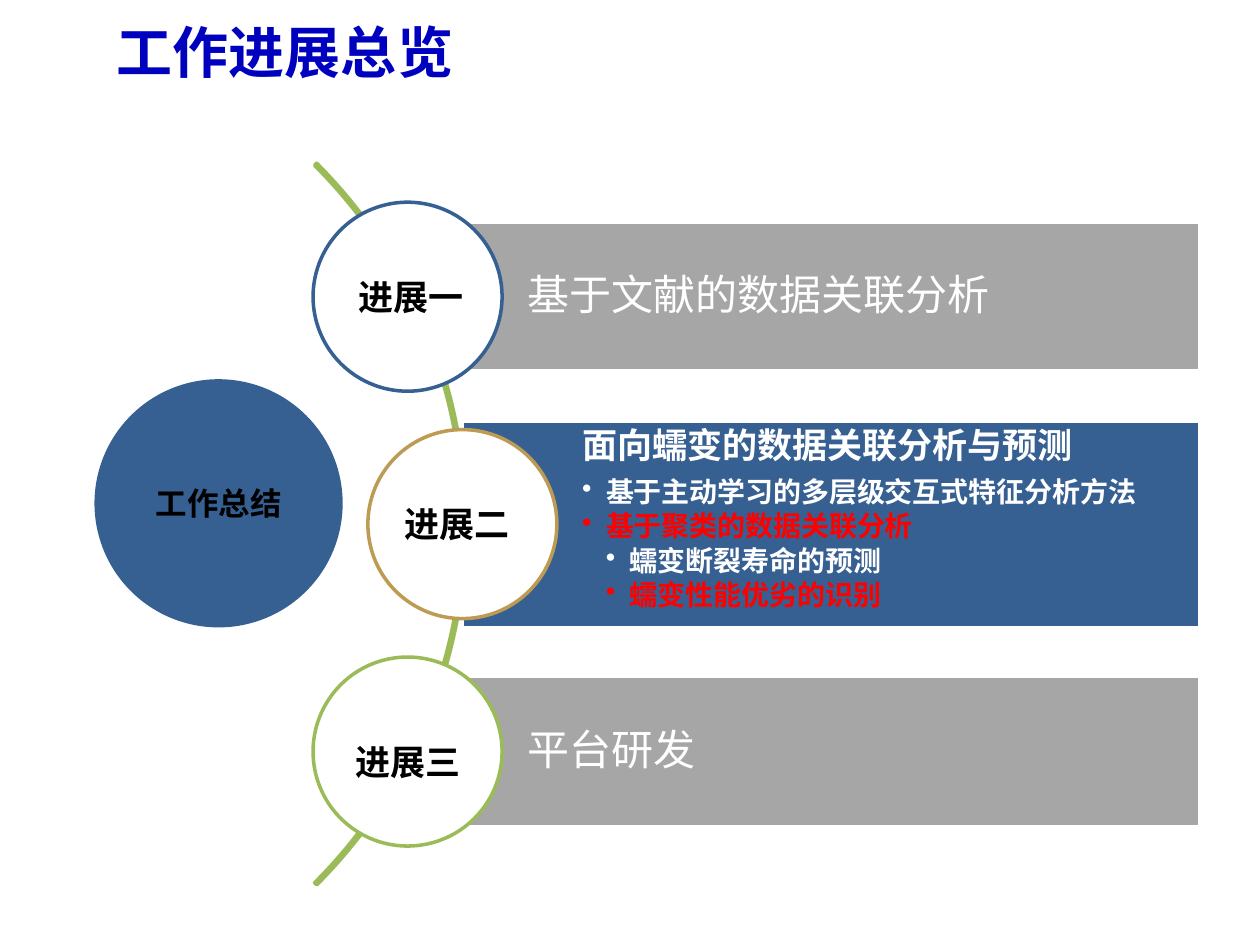
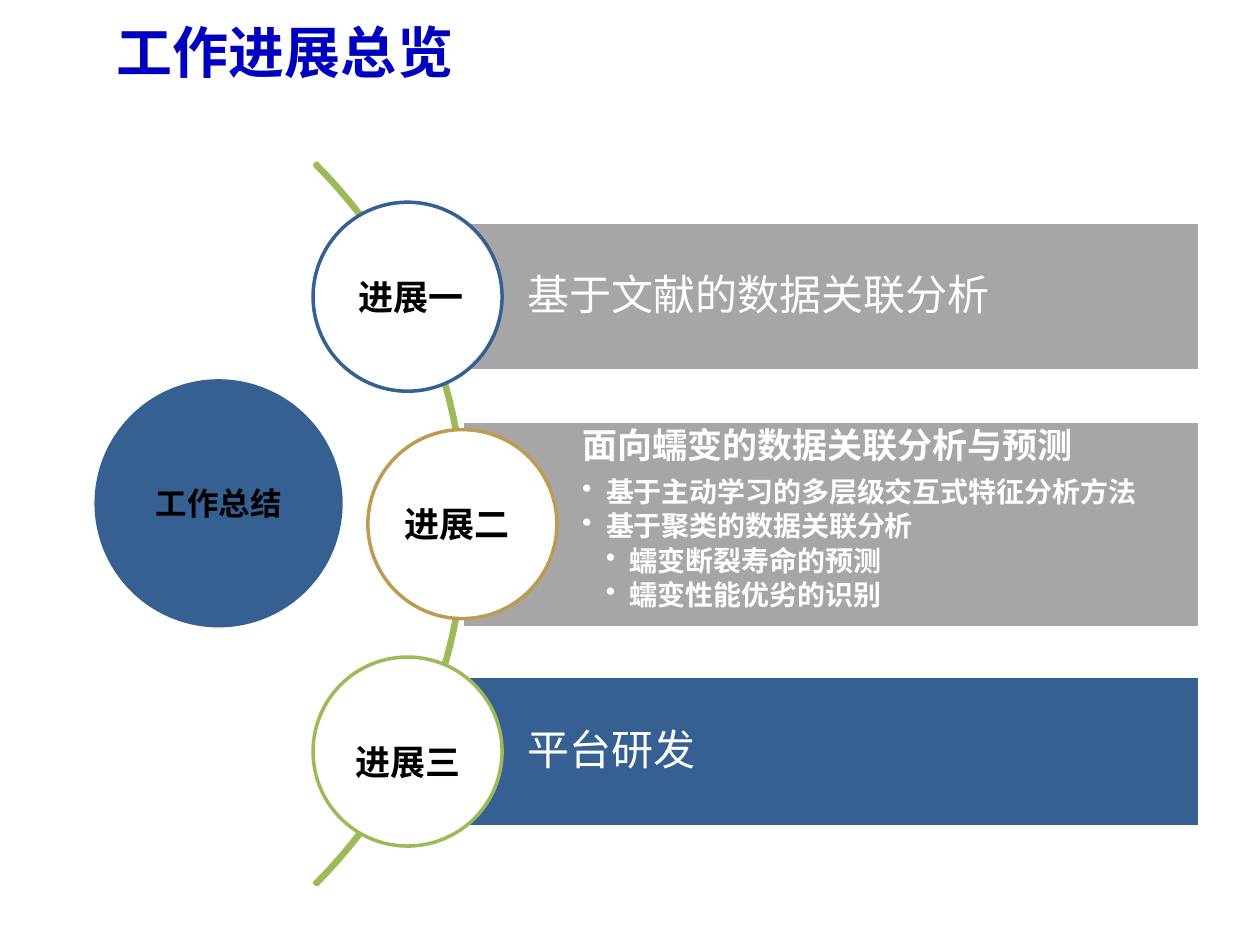
from dataclasses import dataclass
from typing import Optional

from lxml import etree
from pptx import Presentation
from pptx import util as u
from pptx.dml.color import RGBColor
from pptx.enum import shapes, text
from pptx.oxml.ns import qn

COLS, ROWS = 100, 75
CELL = u.Inches(0.1)

NAVY = RGBColor(0x00, 0x00, 0xBF)
BLUE = RGBColor(0x37, 0x60, 0x92)
GRAY = RGBColor(0xA6, 0xA6, 0xA6)
GREEN = RGBColor(0x9B, 0xBB, 0x59)
GOLD = RGBColor(0xBD, 0x9B, 0x53)
RED = RGBColor(0xFF, 0x00, 0x00)
WHITE = RGBColor(0xFF, 0xFF, 0xFF)
BLACK = RGBColor(0x00, 0x00, 0x00)

BODY = "Calibri"
HEAD = "Noto Sans CJK SC"
SHAPE = shapes.MSO_SHAPE
MID = text.MSO_ANCHOR.MIDDLE
TOP = text.MSO_ANCHOR.TOP

AXIS = 41.6
PITCH = 18.05
DISC = 15
HUB = 19.7
ARC = 81
EDGE = 95.25
INDENT = 1.9


@dataclass
class Line:
    words: str
    size: float
    bold: bool = False
    level: int = 0
    after: int = 35


@dataclass
class Step:
    label: str
    left: float
    top: float
    width: float
    center: float
    height: float
    ring: RGBColor
    lines: list[Line]
    anchor: text.MSO_ANCHOR = MID
    pad: float = 0.7


STEPS = [
    Step("进展一", 27.5, 21.4, 11.1, 32.35, 11.8, BLUE,
         [Line("基于文献的数据关联分析", 24)]),
    Step("进展二", 31.1, 39.4, 10.6, 36.7, 16.4, GOLD, [
        Line("面向蠕变的数据关联分析与预测", 20, True),
        Line("基于主动学习的多层级交互式特征分析方法", 16, True, 1, 15),
        Line("基于聚类的数据关联分析", 16, True, 1, 15),
        Line("蠕变断裂寿命的预测", 16, True, 2, 15),
        Line("蠕变性能优劣的识别", 16, True, 2, 15),
    ], TOP, 0.6),
    Step("进展三", 27.2, 58.3, 11.8, 32.35, 12, GREEN,
         [Line("平台研发", 24)]),
]


def grid(*cells: float) -> list[int]:
    return [round(n * CELL) for n in cells]


def write(para, words: str, *, size: float, color: RGBColor,
          bold: bool = False, font: str = BODY) -> None:
    run = para.add_run()
    run.text = words
    run.font.name = font
    run.font.size = u.Pt(size)
    run.font.bold = bold
    run.font.color.rgb = color


def label(slide, words: str, box: tuple, **form) -> None:
    frame = slide.shapes.add_textbox(*grid(*box)).text_frame
    frame.word_wrap = True
    write(frame.paragraphs[0], words, **form)


def draw(slide, kind: SHAPE, box: tuple, fill: Optional[RGBColor] = None,
         edge: Optional[RGBColor] = None):
    shape = slide.shapes.add_shape(kind, *grid(*box))
    shape.shadow.inherit = False
    if fill is None:
        shape.fill.background()
    else:
        shape.fill.solid()
        shape.fill.fore_color.rgb = fill
    if edge is None:
        shape.line.fill.background()
    else:
        shape.line.color.rgb = edge
        shape.line.width = u.Pt(2)
    return shape


def space(para, line: Line) -> None:
    para.alignment = text.PP_ALIGN.LEFT
    para.line_spacing = 0.9
    para.level = line.level
    props = para._p.get_or_add_pPr()
    after = etree.SubElement(props, qn("a:spcAft"))
    etree.SubElement(after, qn("a:spcPct"), val=str(line.after * 1000))
    if line.level:
        step = round(INDENT * CELL)
        props.set("marL", str(line.level * step))
        props.set("indent", str(-step))
        etree.SubElement(props, qn("a:buChar"), char="•")


def bar(slide, step: Step, mid: float, fill: RGBColor, hot: set[int]) -> None:
    box = (step.center, mid - step.height / 2,
           EDGE - step.center, step.height)
    frame = draw(slide, SHAPE.RECTANGLE, box, fill, WHITE).text_frame
    frame.word_wrap = True
    frame.vertical_anchor = step.anchor
    frame.margin_left = round(9.5 * CELL)
    frame.margin_top = frame.margin_right = frame.margin_bottom = round(
        step.pad * CELL)
    for i, line in enumerate(step.lines):
        para = frame.add_paragraph() if i else frame.paragraphs[0]
        space(para, line)
        write(para, line.words, size=line.size, bold=line.bold,
              color=RED if i in hot else WHITE)


def hub(slide) -> None:
    disc = draw(slide, SHAPE.OVAL, (7.5, 30.1, HUB, HUB), BLUE)
    disc.text_frame.vertical_anchor = MID
    para = disc.text_frame.paragraphs[0]
    para.alignment = text.PP_ALIGN.CENTER
    write(para, "工作总结", size=18, bold=True, color=BLACK)
    arc = draw(slide, SHAPE.BLOCK_ARC, (-44, AXIS - ARC / 2, ARC, ARC),
               edge=GREEN)
    for i, turn in enumerate((189, 27, 0.003)):
        arc.adjustments[i] = turn


def page(deck, focus: int, hot: set[int]) -> None:
    slide = deck.slides.add_slide(deck.slide_layouts[6])
    title = slide.shapes.add_textbox(*grid(8.3, -0.3, 90, 8.7)).text_frame
    title.word_wrap = True
    title.vertical_anchor = MID
    write(title.paragraphs[0], "工作进展总览", size=32, bold=True,
          color=NAVY, font=HEAD)
    hub(slide)
    for i, step in enumerate(STEPS):
        mid = AXIS + (i - 1) * PITCH
        bar(slide, step, mid, BLUE if i == focus else GRAY,
            hot if i == focus else set())
        draw(slide, SHAPE.OVAL,
             (step.center - DISC / 2, mid - DISC / 2, DISC, DISC),
             WHITE, step.ring)
    for step in STEPS:
        label(slide, step.label, (step.left, step.top, step.width, 4.4),
              size=20, bold=True, color=BLACK)


def main() -> None:
    deck = Presentation()
    deck.slide_width, deck.slide_height = grid(COLS, ROWS)
    page(deck, 1, {2, 4})
    page(deck, 2, set())
    deck.save("out.pptx")


if __name__ == "__main__":
    main()
